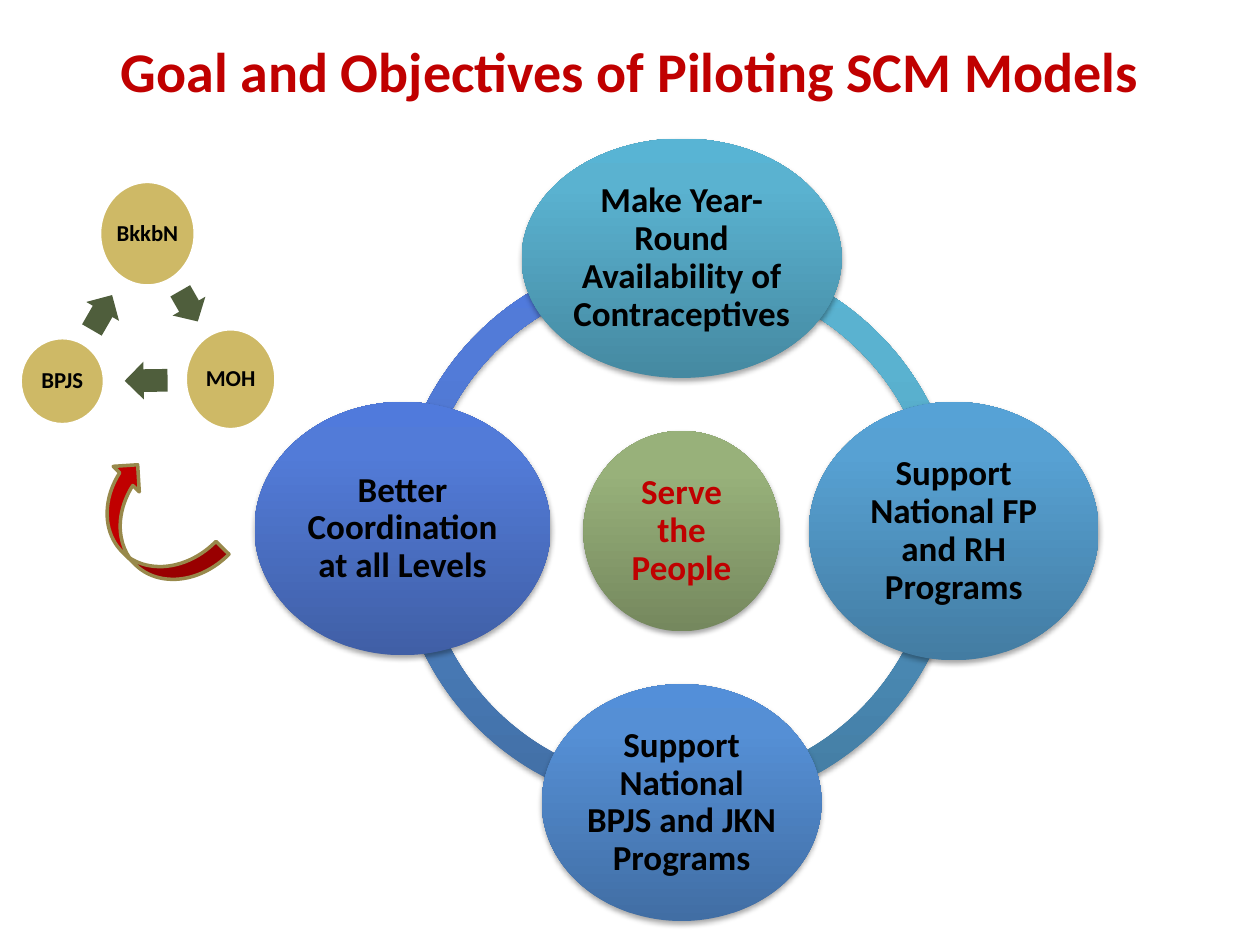
from lxml.etree import SubElement as Sub
from pptx import Presentation
from pptx.dml.color import RGBColor as Rgb
from pptx.enum.shapes import MSO_SHAPE as Geo
from pptx.enum.text import MSO_ANCHOR as Anchor, PP_ALIGN as Align
from pptx.oxml.ns import qn
from pptx.util import Inches, Pt

RED, BLACK, GOLD, MOSS = "C00000", "000000", "CEB966", "4F5E3C"
TEAL = ("4589A1", "5AB2D0", "58B4D4")
SKY = ("437CA2", "57A1D3", "56A2D6")
BLUE = ("416EA4", "558FD5", "538FD9")
ROYAL = ("405FA6", "527BD8", "507ADC")
GREEN = ("75885E", "98B17A", "99B379")

ARCS = [
    (3.14, (108.18, 162.93, 0.046), ROYAL),
    (3.14, (53.07, 108.2, 0.046), BLUE),
    (3.2, (0, 54, 0.046), SKY),
    (3.2, (162, 0, 0.046), TEAL),
]
GOALS = [
    ((4.63, 3.42, 1.56, 1.59), GREEN, "Serve the People", RED),
    ((4.14, 1.1, 2.54, 1.9), TEAL, "Make Year-Round Availability of Contraceptives", BLACK),
    ((6.42, 3.19, 2.3, 2.05), SKY, "Support National FP and RH Programs", BLACK),
    ((4.3, 5.43, 2.22, 1.88), BLUE, "Support National BPJS and JKN Programs", BLACK),
    ((2.02, 3.19, 2.35, 2.01), ROYAL, "Better Coordination at all Levels", BLACK),
]
AGENCIES = [
    ((0.79, 1.44, 0.76, 0.83), "BkkbN"),
    ((1.47, 2.61, 0.72, 0.8), "MOH"),
    ((0.16, 2.68, 0.67, 0.69), "BPJS"),
]
ARROWS = [
    ((1.36, 2.28, 0.28, 0.3), 60.1),
    ((0.99, 2.87, 0.34, 0.3), 179.2),
    ((0.65, 2.33, 0.32, 0.3), 300),
]


def tint(hue):
    """Return the colour for a hex string."""
    return Rgb.from_string(hue)


def assign(item, style):
    """Set each attribute named in the style dict."""
    for name, value in style.items():
        setattr(item, name, value)


def write(shape, text, size, hue, inset, pitch=0.9):
    """Put centred bold text in a shape."""
    frame = shape.text_frame
    sides = ("left", "right", "top", "bottom")
    assign(frame, {f"margin_{side}": Inches(inset) for side in sides})
    assign(frame, {"word_wrap": True, "vertical_anchor": Anchor.MIDDLE})
    para = frame.paragraphs[0]
    assign(para, {"alignment": Align.CENTER, "line_spacing": pitch})
    run = para.add_run()
    run.text = text
    assign(run.font, {"name": "Calibri", "size": Pt(size), "bold": True})
    run.font.color.rgb = tint(hue)


def draw(slide, geo, box, fill=None, line=None, turn=0, adj=()):
    """Add a preset shape with a plain fill and an optional 2 pt line."""
    shape = slide.shapes.add_shape(geo, *map(Inches, box))
    shape.shadow.inherit = False
    shape.rotation = turn
    for index, value in enumerate(adj):
        shape.adjustments[index] = value
    if fill:
        shape.fill.solid()
        shape.fill.fore_color.rgb = tint(fill)
    if line:
        shape.line.color.rgb = tint(line)
        shape.line.width = Pt(2)
    else:
        shape.line.fill.background()
    return shape


def shade(shape, hues):
    """Give a shape an upward three-stop gradient and a soft shadow."""
    shape.fill.gradient()
    shape.fill.gradient_angle = 90
    props = shape.element.spPr
    stops = props.find(".//" + qn("a:gsLst"))
    for stop in list(stops):
        stops.remove(stop)
    for place, hue in zip((0, 80, 100), hues):
        stop = Sub(stops, qn("a:gs"), pos=str(place * 1000))
        Sub(stop, qn("a:srgbClr"), val=hue)
    cast = Sub(props.find(qn("a:effectLst")), qn("a:outerShdw"),
               blurRad=str(Pt(3.1)), dist=str(Pt(1.8)), dir="5400000", rotWithShape="0")
    black = Sub(cast, qn("a:srgbClr"), val=BLACK)
    Sub(black, qn("a:alpha"), val="35000")


def add_title(slide, text):
    """Add the slide heading."""
    box = slide.shapes.add_textbox(*map(Inches, (0.5, 0.17, 9, 0.78)))
    write(box, text, 32, RED, 0.05, 1)


def add_ring(slide):
    """Add the ring of arcs and the goals upon it."""
    for left, adj, hues in ARCS:
        shade(draw(slide, Geo.BLOCK_ARC, (left, 2, 4.42, 4.42), adj=adj), hues)
    for box, hues, text, ink in GOALS:
        goal = draw(slide, Geo.OVAL, box)
        shade(goal, hues)
        write(goal, text, 20, ink, 0.03)


def add_cycle(slide):
    """Add the agencies, the arrows between them and the link to the ring."""
    for (box, text), (spot, turn) in zip(AGENCIES, ARROWS):
        agency = draw(slide, Geo.OVAL, box, GOLD, "FFFFFF")
        write(agency, text, 13, BLACK, 0.02)
        draw(slide, Geo.RIGHT_ARROW, spot, MOSS, turn=turn, adj=(0.6, 0.5))
    draw(slide, Geo.CURVED_LEFT_ARROW, (0.91, 3.62, 0.58, 1.16), RED, "98894B", 134.4)


def main():
    """Build and save the slide."""
    deck = Presentation()
    assign(deck, {"slide_width": Inches(10), "slide_height": Inches(7.5)})
    slide = deck.slides.add_slide(deck.slide_layouts[6])
    add_title(slide, "Goal and Objectives of Piloting SCM Models")
    add_ring(slide)
    add_cycle(slide)
    deck.save("out.pptx")


if __name__ == "__main__":
    main()
